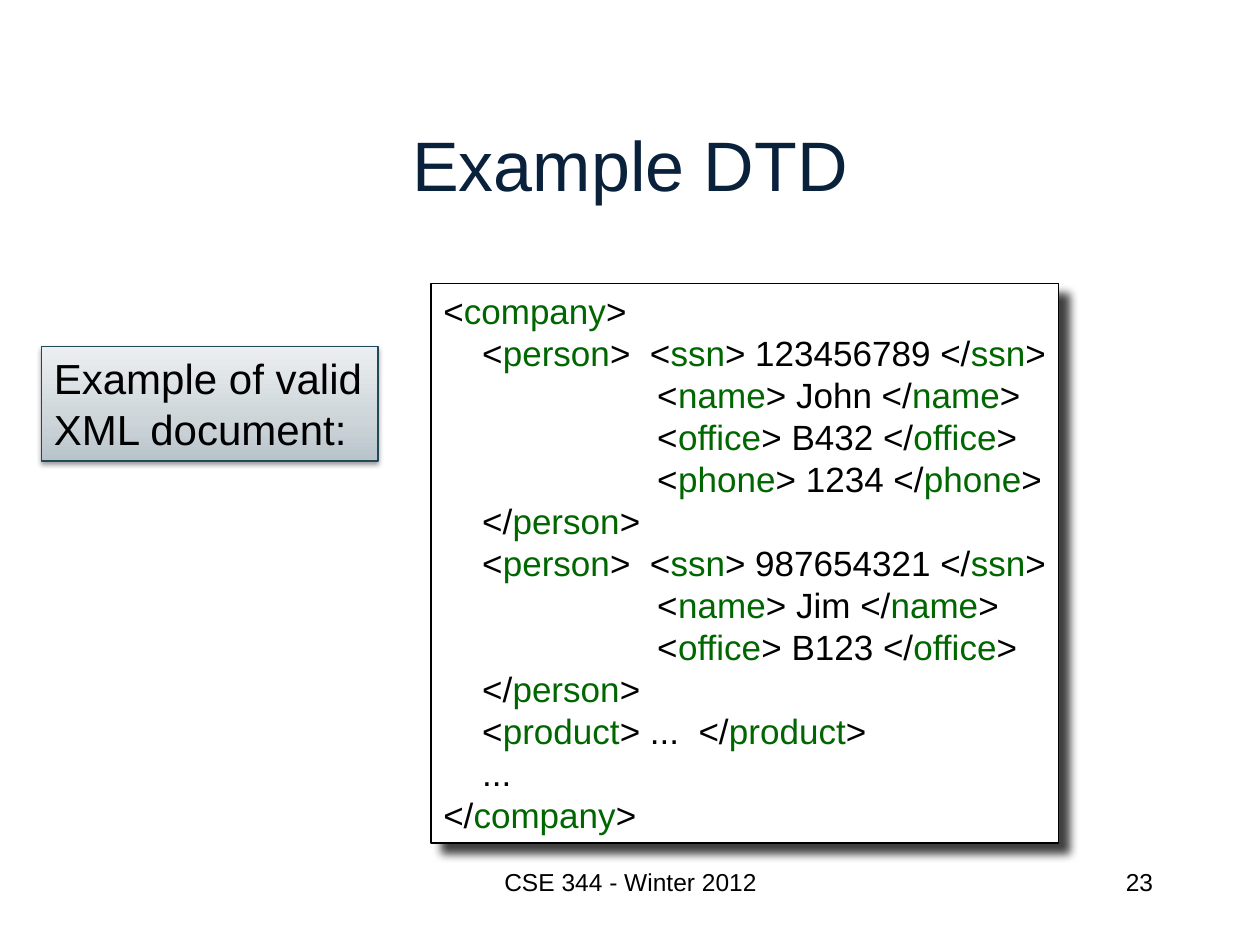
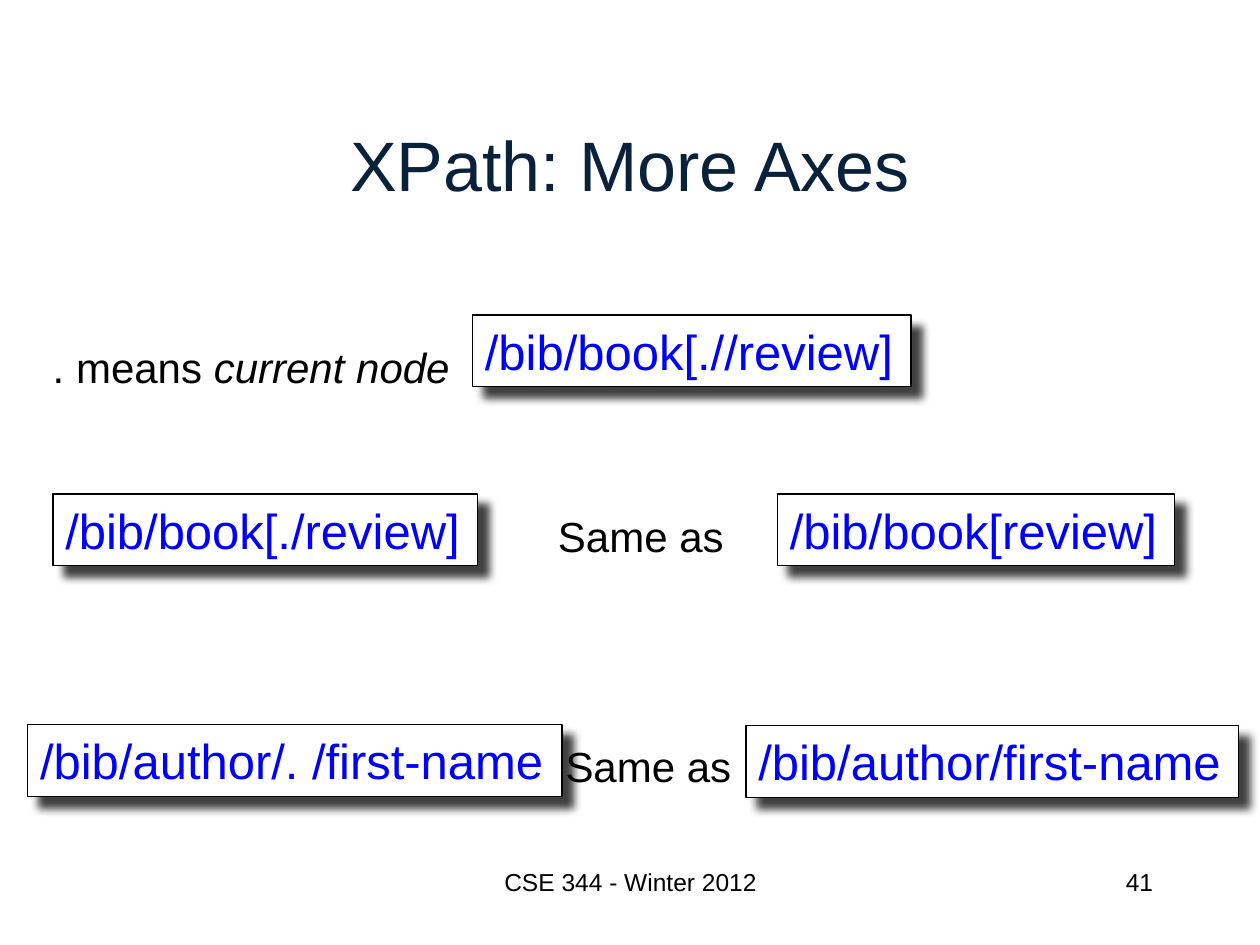
"""Build two lecture slides on DTD and XPath."""

from dataclasses import dataclass

from pptx import Presentation
from pptx.dml.color import RGBColor
from pptx.enum.shapes import MSO_SHAPE
from pptx.enum.text import MSO_ANCHOR, MSO_AUTO_SIZE, PP_ALIGN
from pptx.oxml import parse_xml
from pptx.oxml.ns import nsdecls, qn
from pptx.shapes.autoshape import Shape
from pptx.slide import Slide
from pptx.util import Inches, Pt

RECTANGLE = MSO_SHAPE.RECTANGLE
TOP, MIDDLE = MSO_ANCHOR.TOP, MSO_ANCHOR.MIDDLE
GROW = MSO_AUTO_SIZE.SHAPE_TO_FIT_TEXT
LEFT, CENTER, RIGHT = PP_ALIGN.LEFT, PP_ALIGN.CENTER, PP_ALIGN.RIGHT

BLACK = RGBColor(0x00, 0x00, 0x00)
WHITE = RGBColor(0xFF, 0xFF, 0xFF)
NAVY = RGBColor(0x09, 0x21, 0x3B)
TAG_GREEN = RGBColor(0x00, 0x66, 0x00)
PATH_BLUE = RGBColor(0x00, 0x00, 0xFF)
TEAL = RGBColor(0x22, 0x49, 0x57)
CAPTION_STOPS = (
    (0, RGBColor(0xB8, 0xC3, 0xCA)),
    (35, RGBColor(0xCD, 0xD5, 0xD9)),
    (100, RGBColor(0xEC, 0xEF, 0xF1)),
)
FONT = "Arial"
FOOTER = "CSE 344 - Winter 2012"


@dataclass(frozen=True)
class Span:
    """A piece of text in one colour and slant."""

    text: str
    color: RGBColor = BLACK
    italic: bool = False


@dataclass(frozen=True)
class Area:
    """A rectangle on the slide, in inches."""

    left: float
    top: float
    width: float
    height: float


@dataclass(frozen=True)
class Shadow:
    """An outer shadow in points, degrees and percent."""

    opacity: int
    blur: float
    distance: float
    angle: int


@dataclass(frozen=True)
class PathBox:
    """An XPath expression in a framed box."""

    path_text: str
    area: Area


@dataclass(frozen=True)
class Remark:
    """Plain text beside the framed boxes."""

    spans: tuple[Span, ...]
    area: Area


Lines = list[tuple[Span, ...]]

HARD_SHADOW = Shadow(75, 5, 8.5, 45)
SOFT_SHADOW = Shadow(38, 3.1, 1.6, 90)
TITLE_AREA = Area(0.75, 0.67, 8.5, 1.25)
FOOTER_AREA = Area(3.42, 6.83, 3.17, 0.5)
NUMBER_AREA = Area(7.17, 6.83, 2.08, 0.5)

DOCUMENT = """<company>
    <person>  <ssn> 123456789 </ssn>
                      <name> John </name>
                      <office> B432 </office>
                      <phone> 1234 </phone>
    </person>
    <person>  <ssn> 987654321 </ssn>
                      <name> Jim </name>
                      <office> B123 </office>
    </person>
    <product> ...  </product>
    ...
</company>"""

SAME_AS = (Span("Same as"),)
PATH_BOXES = (
    PathBox("/bib/book[.//review]", Area(3.75, 2.5, 3.48, 0.57)),
    PathBox("/bib/book[./review]", Area(0.42, 3.92, 3.37, 0.57)),
    PathBox("/bib/book[review]", Area(6.17, 3.92, 3.15, 0.57)),
    PathBox("/bib/author/. /first-name", Area(0.22, 5.75, 4.24, 0.57)),
    PathBox("/bib/author/first-name", Area(5.92, 5.76, 3.91, 0.57)),
)
REMARKS = (
    Remark(
        (Span(". means "), Span("current node", italic=True)),
        Area(0.32, 2.66, 3.38, 0.5),
    ),
    Remark(SAME_AS, Area(4.33, 4, 1.53, 0.5)),
    Remark(SAME_AS, Area(4.39, 5.83, 1.53, 0.5)),
)


def place(area: Area) -> tuple[Inches, Inches, Inches, Inches]:
    """Return the area as lengths."""
    return Inches(area.left), Inches(area.top), Inches(area.width), Inches(area.height)


def write_text(
    box: Shape,
    lines: Lines,
    *,
    size: float,
    align: PP_ALIGN = LEFT,
    anchor: MSO_ANCHOR = TOP,
    fit: bool = True,
) -> None:
    """Fill a box with one paragraph for each line."""
    frame = box.text_frame
    frame.word_wrap = not fit
    frame.vertical_anchor = anchor
    if fit:
        frame.auto_size = GROW
    for index, spans in enumerate(lines):
        paragraph = frame.add_paragraph() if index else frame.paragraphs[0]
        paragraph.alignment = align
        for span in spans:
            run = paragraph.add_run()
            run.text = span.text
            run.font.name = FONT
            run.font.size = Pt(size)
            run.font.italic = span.italic
            run.font.color.rgb = span.color


def add_label(slide: Slide, area: Area, lines: Lines, **text_format) -> None:
    """Add a text box without fill or outline."""
    write_text(slide.shapes.add_textbox(*place(area)), lines, **text_format)


def add_frame(slide: Slide, area: Area, line: RGBColor, shadow: Shadow) -> Shape:
    """Add a white outlined rectangle with a shadow."""
    box = slide.shapes.add_shape(RECTANGLE, *place(area))
    box.fill.solid()
    box.fill.fore_color.rgb = WHITE
    box.line.color.rgb = line
    box.line.width = Pt(0.75)
    box.shadow.inherit = False
    effects = box.element.spPr.find(qn("a:effectLst"))
    effects.append(parse_xml(
        f'<a:outerShdw {nsdecls("a")} blurRad="{Pt(shadow.blur)}" '
        f'dist="{Pt(shadow.distance)}" dir="{shadow.angle * 60000}" '
        f'algn="ctr" rotWithShape="0"><a:srgbClr val="{BLACK}">'
        f'<a:alpha val="{shadow.opacity * 1000}"/></a:srgbClr></a:outerShdw>'
    ))
    return box


def fill_gradient(box: Shape, stops: tuple[tuple[int, RGBColor], ...]) -> None:
    """Replace the solid fill by a gradient that rises from the bottom."""
    stop_xml = "".join(
        f'<a:gs pos="{percent * 1000}"><a:srgbClr val="{color}"/></a:gs>'
        for percent, color in stops
    )
    properties = box.element.spPr
    properties.replace(properties.find(qn("a:solidFill")), parse_xml(
        f'<a:gradFill {nsdecls("a")} rotWithShape="1"><a:gsLst>{stop_xml}</a:gsLst>'
        '<a:lin ang="16200000" scaled="0"/></a:gradFill>'
    ))


def color_tags(line: str) -> tuple[Span, ...]:
    """Split a line of XML into spans with green tag names."""
    plain, *tags = line.split("<")
    spans = []
    for tag in tags:
        name, _, rest = tag.partition(">")
        opening = "</" if name.startswith("/") else "<"
        spans += [Span(plain + opening), Span(name.lstrip("/"), TAG_GREEN)]
        plain = ">" + rest
    return (*spans, Span(plain))


def add_page(deck: Presentation, title: str, number: int) -> Slide:
    """Add a slide with its title, footer and number."""
    slide = deck.slides.add_slide(deck.slide_layouts[6])
    add_label(slide, TITLE_AREA, [(Span(title, NAVY),)],
              size=40, align=CENTER, anchor=MIDDLE, fit=False)
    add_label(slide, FOOTER_AREA, [(Span(FOOTER),)], size=14, align=CENTER, fit=False)
    add_label(slide, NUMBER_AREA, [(Span(str(number)),)], size=14, align=RIGHT, fit=False)
    return slide


def build_dtd_page(deck: Presentation) -> None:
    """Show a valid XML document with its caption."""
    slide = add_page(deck, "Example DTD", 23)
    document = add_frame(slide, Area(3.42, 2.25, 4.98, 4.44), BLACK, HARD_SHADOW)
    write_text(document, [color_tags(line) for line in DOCUMENT.splitlines()], size=20)
    caption = add_frame(slide, Area(0.33, 2.75, 2.67, 0.91), TEAL, SOFT_SHADOW)
    fill_gradient(caption, CAPTION_STOPS)
    write_text(caption, [(Span("Example of valid"),), (Span("XML document:"),)], size=24)


def build_xpath_page(deck: Presentation) -> None:
    """Compare XPath expressions that use the current node."""
    slide = add_page(deck, "XPath: More Axes", 41)
    for item in PATH_BOXES:
        box = add_frame(slide, item.area, BLACK, HARD_SHADOW)
        write_text(box, [(Span(item.path_text, PATH_BLUE),)], size=28)
    for remark in REMARKS:
        add_label(slide, remark.area, [remark.spans], size=24)


def main() -> None:
    """Build and save the deck."""
    deck = Presentation()
    deck.slide_width, deck.slide_height = Inches(10), Inches(7.5)
    build_dtd_page(deck)
    build_xpath_page(deck)
    deck.save("out.pptx")


if __name__ == "__main__":
    main()
